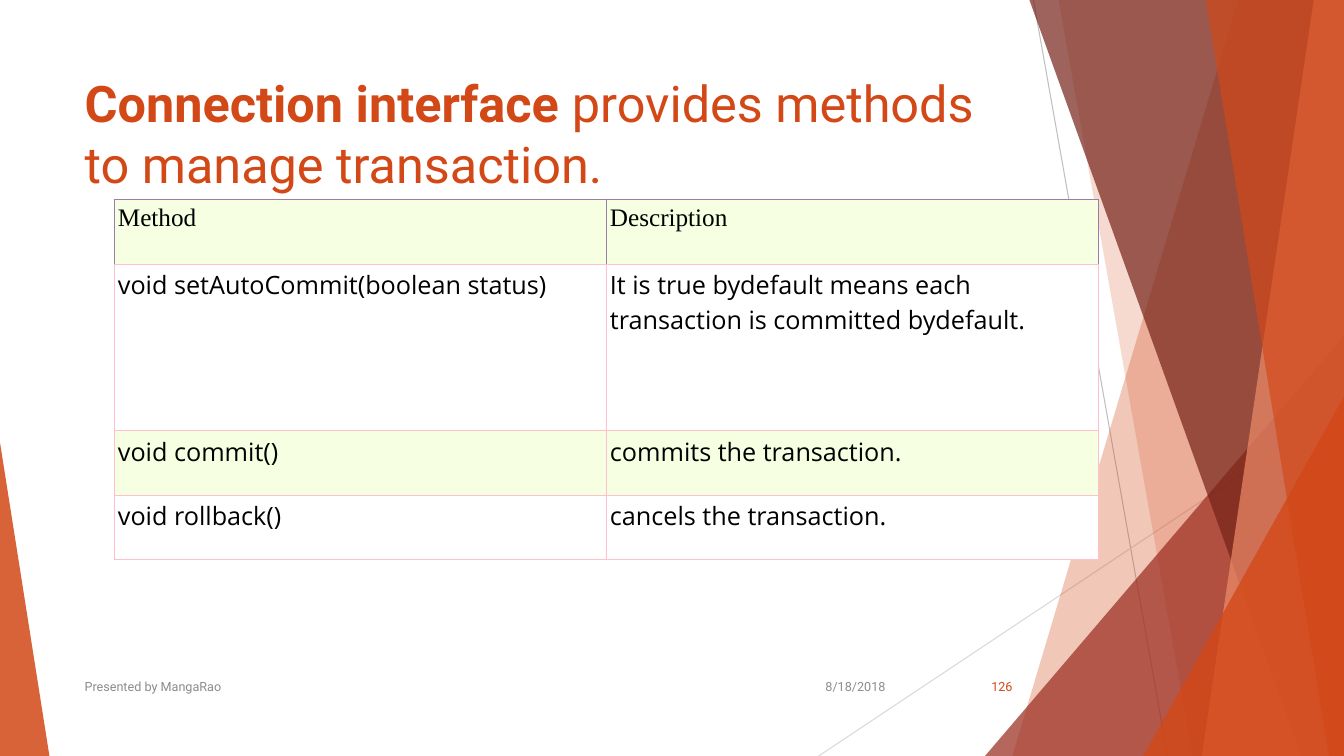
from dataclasses import dataclass
from typing import NamedTuple

from lxml.etree import SubElement
from pptx import Presentation
from pptx.dml.color import RGBColor
from pptx.enum.shapes import MSO_CONNECTOR, MSO_SHAPE
from pptx.enum.text import MSO_ANCHOR, PP_ALIGN
from pptx.oxml.ns import qn
from pptx.util import Inches, Pt


@dataclass(frozen=True)
class Theme:
    """Colours, fonts and type sizes of the slide."""
    accent: str = "D34817"
    brick: str = "9B2D1F"
    maroon: str = "742217"
    salmon: str = "EF8C6A"
    dark_line: str = "BFBFBF"
    light_line: str = "D9D9D9"
    muted: str = "8C8C8C"
    text: str = "000000"
    band: str = "F6FFE1"
    plain: str = "FFFFFF"
    header_border: str = "987EA8"
    body_border: str = "FFC0CB"
    heading_font: str = "Roboto"
    header_font: str = "Times New Roman"
    body_font: str = "Open Sans"
    title_size: int = 36
    table_size: int = 18
    footer_size: int = 9


class Box(NamedTuple):
    """A region measured in inches."""
    left: float
    top: float
    width: float
    height: float

    def lengths(self):
        """Return the four measures as lengths."""
        return [Inches(measure) for measure in self]


THEME = Theme()
METHODS = [
    ("Method", "Description"),
    ("void setAutoCommit(boolean status)",
     "It is true bydefault means each transaction is committed bydefault."),
    ("void commit()", "commits the transaction."),
    ("void rollback()", "cancels the transaction."),
]
ROW_HEIGHTS = (0.64, 1.65, 0.64, 0.64)


def style_font(font, name, size, color):
    """Set the typeface, size and colour of a font."""
    font.name = name
    font.size = Pt(size)
    font.color.rgb = RGBColor.from_string(color)


def paint(shape, color, opacity):
    """Give a shape a translucent fill without line or shadow."""
    shape.shadow.inherit = False
    shape.line.fill.background()
    shape.fill.solid()
    shape.fill.fore_color.rgb = RGBColor.from_string(color)
    color_element = shape.fill._xPr.find(qn("a:solidFill"))[0]
    SubElement(color_element, qn("a:alpha"), val=str(opacity * 1000))


def add_line(slide, box, start, end, color):
    """Draw a thin line between two points of the box."""
    points = [Inches(origin + offset) for point in (start, end)
              for origin, offset in zip((box.left, box.top), point)]
    line = slide.shapes.add_connector(MSO_CONNECTOR.STRAIGHT, *points)
    line.line.width = Pt(0.75)
    line.line.color.rgb = RGBColor.from_string(color)
    SubElement(line._element.spPr, qn("a:effectLst"))


def add_facet(slide, box, top_left, bottom_left, color, opacity):
    """Fill the box from a slanted left edge to its right side."""
    corners = [(top_left, 0), (box.width, 0), (box.width, box.height),
               (bottom_left, box.height)]
    points = [(Inches(box.left + x), Inches(box.top + y)) for x, y in corners]
    builder = slide.shapes.build_freeform(*points[0])
    builder.add_line_segments(points[1:], close=True)
    paint(builder.convert_to_shape(), color, opacity)


def add_wedge(slide, box, apex, color, opacity):
    """Fill the box with a right triangle, apex at 0 (left) or 1 (right)."""
    wedge = slide.shapes.add_shape(MSO_SHAPE.ISOSCELES_TRIANGLE, *box.lengths())
    wedge.adjustments[0] = apex
    paint(wedge, color, opacity)


def add_corner_wedge(slide, box, left, top, color, opacity):
    """Place a wedge in the bottom right corner of the box."""
    corner = Box(box.left + left, box.top + top,
                 box.width - left, box.height - top)
    add_wedge(slide, corner, 1, color, opacity)


def add_facets(slide, box):
    """Build the layered facets along the right side."""
    add_line(slide, box, (2.13, 0), (3.46, box.height), THEME.dark_line)
    add_line(slide, box, (box.width, 4.03), (0, box.height), THEME.light_line)
    add_facet(slide, box, 4.16, 1.92, THEME.accent, 30)
    add_facet(slide, box, 2.38, 3.71, THEME.accent, 20)
    add_corner_wedge(slide, box, 1.65, 3.33, THEME.brick, 72)
    add_facet(slide, box, 2.09, 4.79, THEME.maroon, 70)
    add_facet(slide, box, 4.91, 3.8, THEME.salmon, 70)
    add_facet(slide, box, 3.84, 5.06, THEME.accent, 65)
    add_corner_wedge(slide, box, 3.22, 3.93, THEME.accent, 80)


def add_title(slide, box):
    """Place the title with its bold opening words."""
    title = slide.shapes.title
    title.left, title.top, title.width, title.height = box.lengths()
    frame = title.text_frame
    frame.word_wrap = True
    frame.vertical_anchor = MSO_ANCHOR.TOP
    paragraph = frame.paragraphs[0]
    paragraph.alignment = PP_ALIGN.LEFT
    style_font(paragraph.font, THEME.heading_font, THEME.title_size, THEME.accent)
    for text, bold in (("Connection interface", True),
                       ("\u00a0provides methods to manage transaction.", False)):
        run = paragraph.add_run()
        run.text = text
        run.font.bold = bold


def set_borders(cell, colors):
    """Draw the left, right, top and bottom borders of a cell."""
    properties = cell._tc.get_or_add_tcPr()
    for position, (side, color) in enumerate(zip("LRTB", colors)):
        border = properties.makeelement(qn(f"a:ln{side}"), {"w": str(Pt(0.6))})
        SubElement(SubElement(border, qn("a:solidFill")), qn("a:srgbClr"), val=color)
        properties.insert(position, border)


def add_methods_table(slide, box):
    """Build the table of transaction methods."""
    table = slide.shapes.add_table(len(METHODS), 2, *box.lengths()).table
    for column in table.columns:
        column.width = Inches(box.width / 2)
    for index, (texts, height) in enumerate(zip(METHODS, ROW_HEIGHTS)):
        table.rows[index].height = Inches(height)
        is_header = index == 0
        font_name = THEME.header_font if is_header else THEME.body_font
        edge = THEME.header_border if is_header else THEME.body_border
        for cell, text in zip(table.rows[index].cells, texts):
            cell.text = text
            cell.margin_left = cell.margin_right = Inches(0.04)
            cell.margin_top = cell.margin_bottom = Inches(0.04)
            cell.fill.solid()
            cell.fill.fore_color.rgb = RGBColor.from_string(
                THEME.plain if index % 2 else THEME.band)
            set_borders(cell, (edge, edge, edge, THEME.body_border))
            paragraph = cell.text_frame.paragraphs[0]
            style_font(paragraph.font, font_name, THEME.table_size, THEME.text)
            paragraph.font.bold = False


def add_footer(slide, box):
    """Place the presenter, date and slide number in one row."""
    items = [
        ("Presented by MangaRao", 0, 6.89, PP_ALIGN.LEFT, THEME.muted),
        ("8/18/2018", 7.14, 1, PP_ALIGN.RIGHT, THEME.muted),
        ("126", 8.65, 0.75, PP_ALIGN.RIGHT, THEME.accent),
    ]
    for text, offset, width, alignment, color in items:
        place = Box(box.left + offset, box.top, width, box.height)
        frame = slide.shapes.add_textbox(*place.lengths()).text_frame
        frame.word_wrap = True
        frame.vertical_anchor = MSO_ANCHOR.MIDDLE
        paragraph = frame.paragraphs[0]
        paragraph.text = text
        paragraph.alignment = alignment
        style_font(paragraph.font, THEME.heading_font, THEME.footer_size, color)


def main():
    """Build and save the presentation."""
    presentation = Presentation()
    presentation.slide_width, presentation.slide_height = Inches(13.33), Inches(7.5)
    slide = presentation.slides.add_slide(presentation.slide_layouts[5])
    add_facets(slide, Box(8.12, 0, 5.21, 7.5))
    add_wedge(slide, Box(0, 4.39, 0.49, 3.11), 0, THEME.accent, 85)
    add_title(slide, Box(0.74, 0.67, 9.4, 1.44))
    add_methods_table(slide, Box(1.13, 1.98, 9.76, 3.57))
    add_footer(slide, Box(0.74, 6.61, 9.4, 0.4))
    presentation.save("out.pptx")


main()
